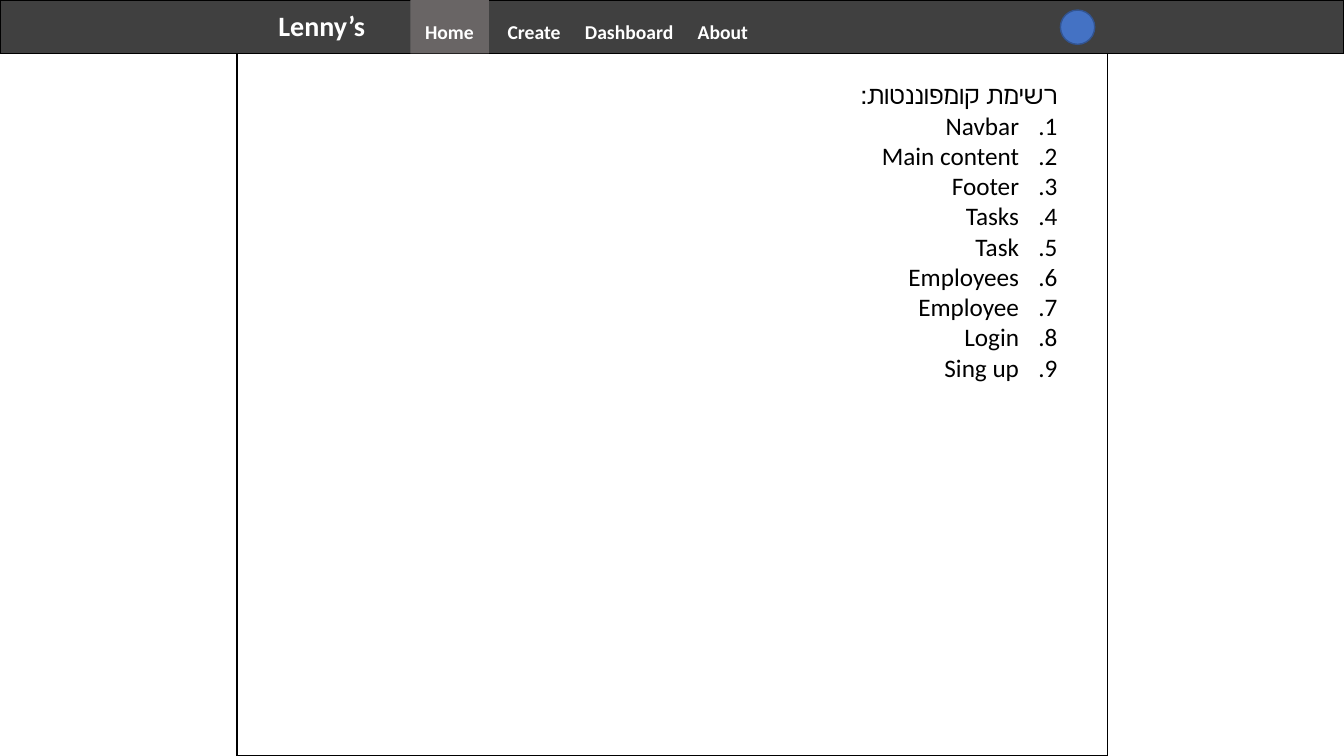
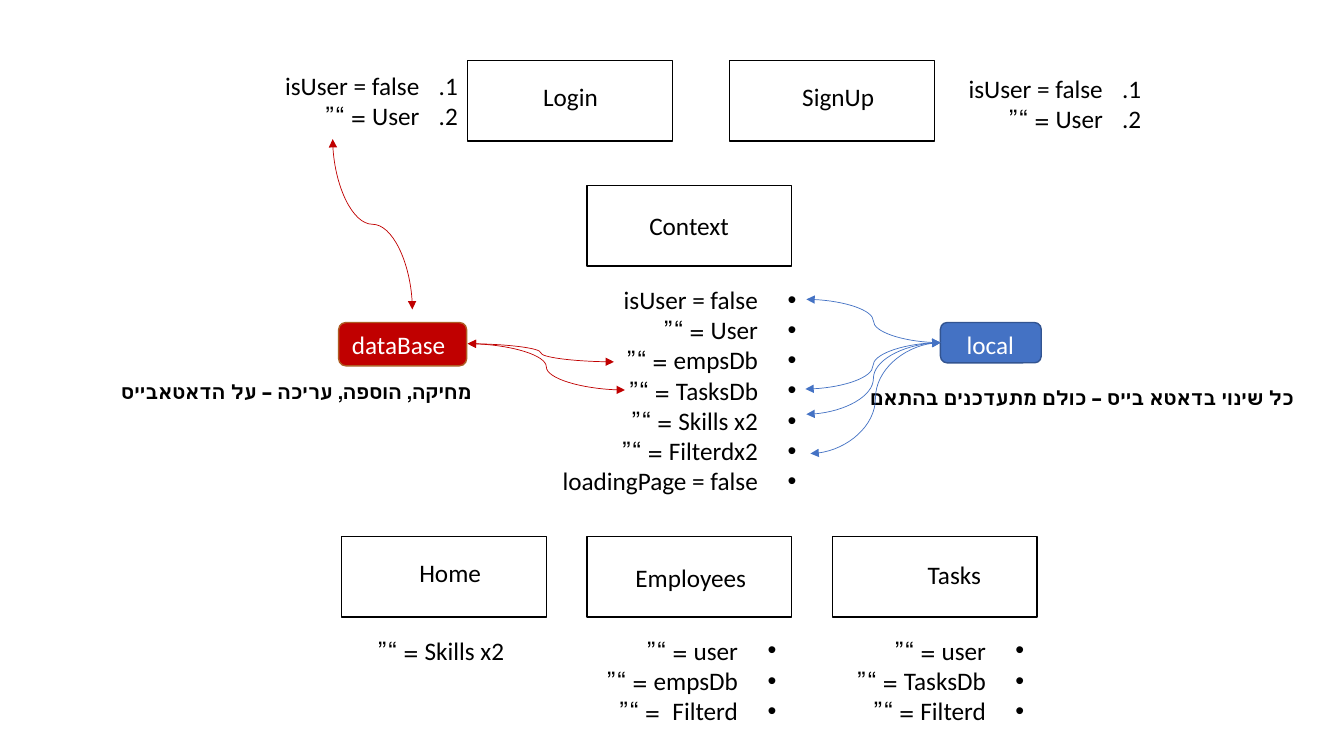
from lxml.etree import SubElement
from pptx import Presentation
from pptx.dml.color import RGBColor
from pptx.enum.shapes import MSO_CONNECTOR, MSO_SHAPE
from pptx.enum.text import MSO_ANCHOR, MSO_AUTO_SIZE, PP_ALIGN
from pptx.oxml.ns import qn
from pptx.util import Inches, Pt

COLUMNS, ROWS = 133.33, 75
BLACK, WHITE = "000000", "FFFFFF"
CHARCOAL, WARM_GRAY = "404040", "696565"
BLUE, DARK_BLUE = "4472C4", "325491"
RED, BROWN = "C00000", "AF5C24"


def grid(cells):
    return Inches(cells / 10)


def color(hex_string):
    return RGBColor.from_string(hex_string)


def mark(paragraph, marker):
    properties = paragraph._p.get_or_add_pPr()
    properties.set("rtl", "1")
    indent = Inches(0.38) if marker else 0
    properties.set("marL", str(indent))
    properties.set("indent", str(-indent))
    if marker == "number":
        SubElement(properties, qn("a:buAutoNum"), type="arabicPeriod")
    elif marker == "bullet":
        SubElement(properties, qn("a:buFont"), typeface="Arial")
        SubElement(properties, qn("a:buChar"), char="•")
    else:
        SubElement(properties, qn("a:buNone"))


def write(text_frame, text, size=18, ink=BLACK, bold=False, marker=None):
    text_frame.word_wrap = True
    text_frame.auto_size = MSO_AUTO_SIZE.NONE
    text_frame.vertical_anchor = MSO_ANCHOR.TOP
    text_frame.text = text
    for paragraph in text_frame.paragraphs:
        paragraph.alignment = PP_ALIGN.RIGHT
        paragraph.line_spacing = 1.0
        paragraph.space_before = Pt(0)
        mark(paragraph, marker)
        for run in paragraph.runs:
            run.font.name = "Calibri"
            run.font.size = Pt(size)
            run.font.bold = bold
            run.font.color.rgb = color(ink)


class Canvas:
    def __init__(self):
        self.presentation = Presentation()
        self.presentation.slide_width = grid(COLUMNS)
        self.presentation.slide_height = grid(ROWS)

    def new_slide(self):
        layout = self.presentation.slide_layouts[1]
        self.slide = self.presentation.slides.add_slide(layout)

    def fill_placeholder(self, index, frame, text, **style):
        placeholder = self.slide.placeholders[index]
        placeholder.left, placeholder.top, placeholder.width, placeholder.height = map(grid, frame)
        write(placeholder.text_frame, text, **style)

    def title(self, frame, text, **style):
        self.fill_placeholder(0, frame, text, **style)

    def body(self, frame, text, **style):
        self.fill_placeholder(1, frame, text, **style)

    def text(self, frame, text, **style):
        box = self.slide.shapes.add_textbox(*map(grid, frame))
        write(box.text_frame, text, **style)

    def shape(self, frame, kind=MSO_SHAPE.RECTANGLE, fill=None, line=None):
        shape = self.slide.shapes.add_shape(kind, *map(grid, frame))
        shape.shadow.inherit = False
        if fill:
            shape.fill.solid()
            shape.fill.fore_color.rgb = color(fill)
        else:
            shape.fill.background()
        if line:
            shape.line.color.rgb = color(line)
            shape.line.width = Pt(1)
        else:
            shape.line.fill.background()
        return shape

    def pill(self, frame, text, fill, line, right_margin):
        shape = self.shape(frame, MSO_SHAPE.ROUNDED_RECTANGLE, fill, line)
        shape.text_frame.margin_right = grid(right_margin)
        write(shape.text_frame, text, ink=WHITE)

    def curve(self, start, end, ink, upright=False):
        (left, top), (right, bottom) = start, end
        if upright:
            middle_x, middle_y = (left + right) / 2, (top + bottom) / 2
            half_width, half_height = (right - left) / 2, (bottom - top) / 2
            left, right = middle_x + half_height, middle_x - half_height
            top, bottom = middle_y - half_width, middle_y + half_width
        connector = self.slide.shapes.add_connector(
            MSO_CONNECTOR.CURVE, *map(grid, (left, top, right, bottom)))
        connector.line.color.rgb = color(ink)
        connector.line.width = Pt(0.5)
        properties = connector._element.spPr
        if upright:
            properties.find(qn("a:xfrm")).set("rot", str(270 * 60000))
        for tip in ("a:headEnd", "a:tailEnd"):
            SubElement(properties.find(qn("a:ln")), qn(tip), type="triangle")
        SubElement(properties, qn("a:effectLst"))


def build_components(canvas):
    canvas.new_slide()
    canvas.shape((23.5, 0, 86.4, ROWS), line=BLACK)
    canvas.shape((0, 0, COLUMNS, 5.3), fill=CHARCOAL, line=BLACK)
    canvas.shape((40.7, 0, 7.8, 5.3), fill=WARM_GRAY)
    canvas.text((17.2, 0.4, 20, 4.4), "Lenny’s", size=20, ink=WHITE, bold=True)
    navigation = [("Home", 41, 7), ("Create", 48.8, 7.8), ("Dashboard", 56.3, 11.5), ("About", 66, 9.2)]
    for label, left, width in navigation:
        canvas.text((left, 1.5, width, 3.4), label, size=14, ink=WHITE, bold=True)
    canvas.shape((105.2, 1, 3.4, 3.4), MSO_SHAPE.OVAL, BLUE, DARK_BLUE)
    canvas.title((67.8, 7.4, 38.1, 4), "רשימת קומפוננטות:")
    components = ["Navbar", "Main content", "Footer", "Tasks", "Task",
                  "Employees", "Employee", "Login", "Sing up"]
    canvas.body((67.8, 10.4, 38.1, 28.3), "\n".join(components), marker="number")


def build_state_map(canvas):
    canvas.new_slide()
    page_left, page_step, page_top = 33.9, 24.35, 53.2
    boxes = [(46.4, 6), (72.4, 6), (page_left + page_step, 18.4)]
    boxes += [(page_left + page_step * column, page_top) for column in range(3)]
    for left, top in boxes:
        canvas.shape((left, top, 20.3, 8), line=BLACK)

    canvas.title((62.5, 20.4, 10.8, 4.1), "Context")
    context = ["isUser = false", "User = “”", "empsDb = “”", "TasksDb = “”",
               "Skills x2 = “”", "Filterdx2 = “”", "loadingPage = false"]
    canvas.body((54.2, 27.7, 25.8, 22.2), "\n".join(context), marker="bullet")

    labels = [("Login", 52.3, 7.6, 8), ("SignUp", 78.2, 7.6, 9.5), ("Home", 37.9, 54.8, 10.8),
              ("Employees", 60.9, 55.3, 14.1), ("Tasks", 87.5, 55, 10.8),
              ("Skills x2 = “”", 35.8, 62.5, 15.2)]
    for label, left, top, width in labels:
        canvas.text((left, top, width, 4), label)

    for left, top in [(26.4, 6.5), (94.2, 6.8)]:
        canvas.text((left, top, 20, 7.1), "isUser = false\nUser = “”", marker="number")
    for left, state in [(58, "user = “”\nempsDb = “”\nFilterd  = “”"),
                        (82.6, "user = “”\nTasksDb = “”\nFilterd = “”")]:
        canvas.text((left, 62.5, 20, 10.1), state, marker="bullet")

    canvas.pill((33.6, 32, 12.7, 4.3), "dataBase", RED, BROWN, 1.9)
    canvas.pill((93.3, 32, 10, 4), "local", BLUE, DARK_BLUE, 2.5)
    canvas.text((9.9, 37.2, 37.9, 3.4), "מחיקה, הוספה, עריכה – על הדאטאבייס", size=14, bold=True)
    canvas.text((84.1, 37.8, 45.3, 3.4), "כל שינוי בדאטא בייס – כולם מתעדכנים בהתאם", size=14, bold=True)

    for start in [(80, 29.7), (80.4, 45), (80, 41.1), (79.9, 38.6)]:
        canvas.curve(start, (93.3, 34), BLUE)
    for end in [(60.9, 35.9), (62, 38.7)]:
        canvas.curve((46.4, 34.1), end, RED)
    canvas.curve((33, 13.8), (40.9, 30.7), RED, upright=True)


canvas = Canvas()
build_components(canvas)
build_state_map(canvas)
canvas.presentation.save("out.pptx")
